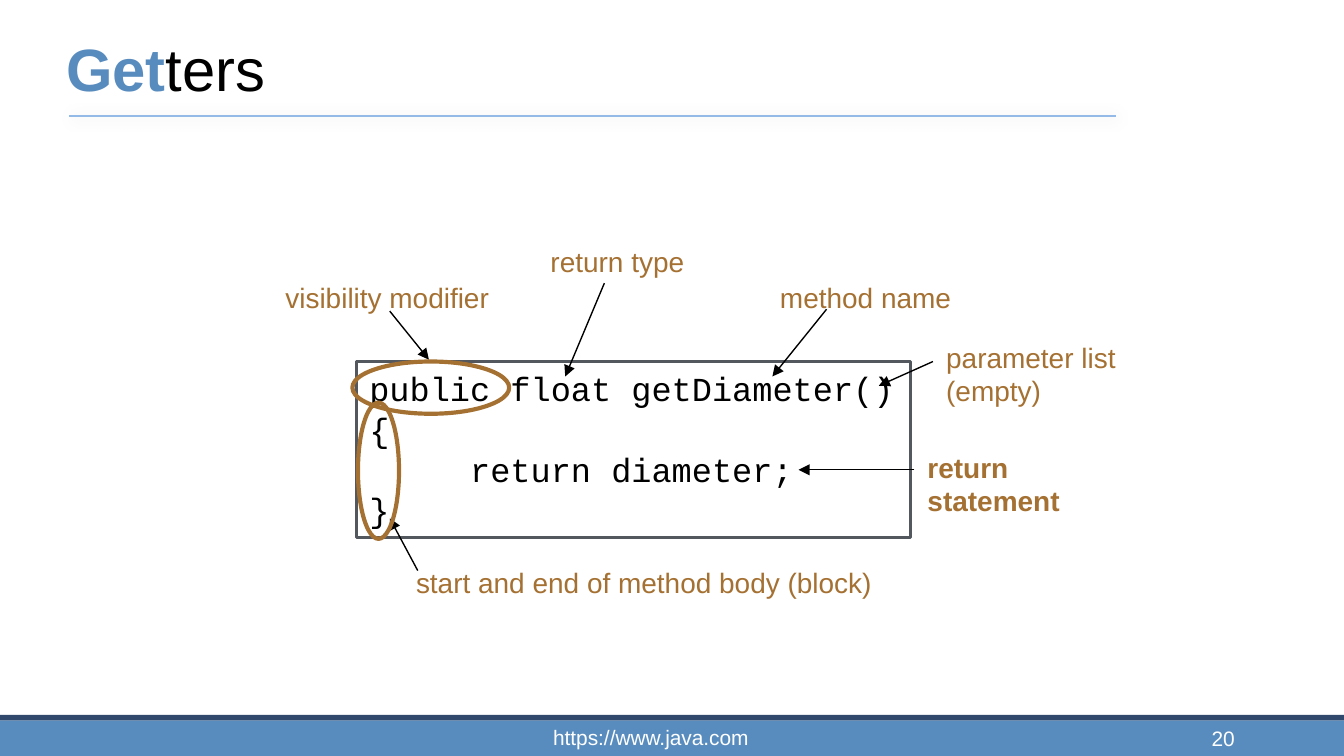
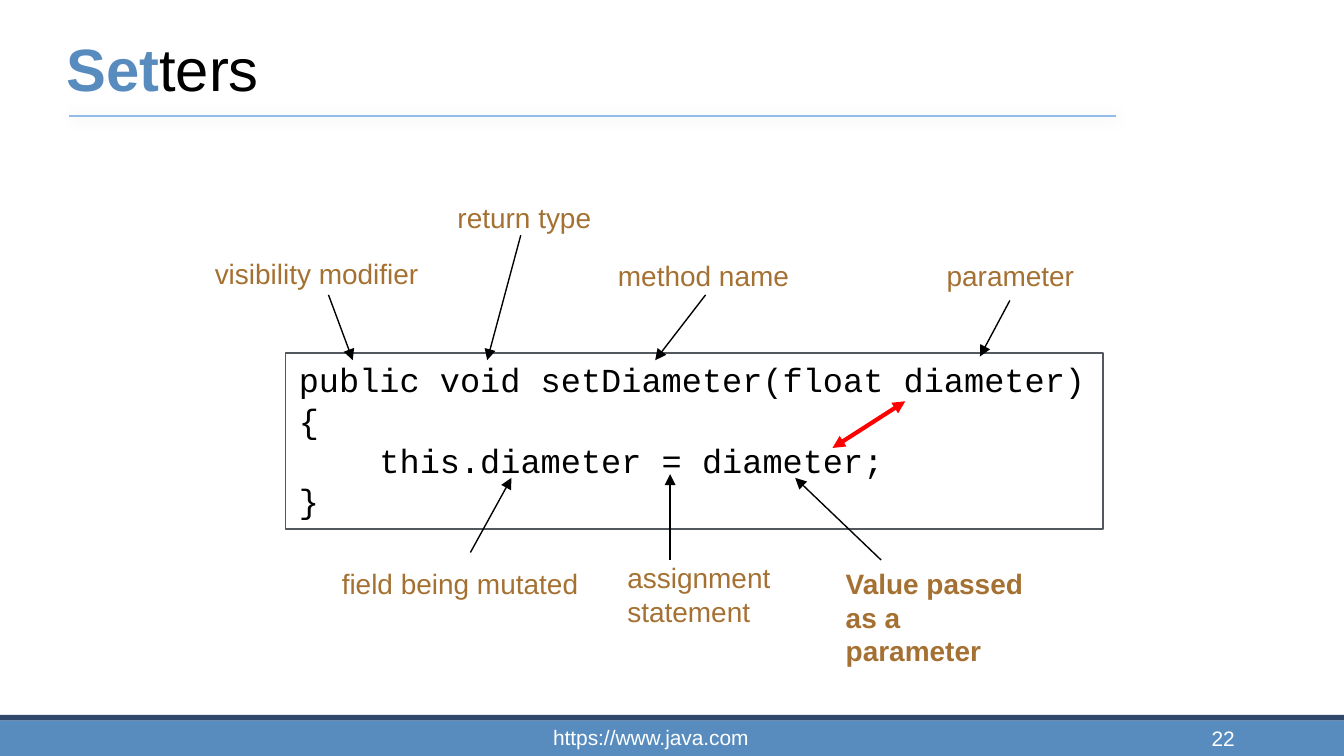
"""Build two slides that label the parts of a getter and a setter method."""
from collections import namedtuple

from lxml import etree
from pptx import Presentation
from pptx.dml.color import RGBColor
from pptx.enum.shapes import MSO_CONNECTOR, MSO_SHAPE
from pptx.enum.text import MSO_ANCHOR, PP_ALIGN
from pptx.oxml.ns import qn
from pptx.util import Pt

Box = namedtuple("Box", "left top width height")
Label = namedtuple("Label", "text left top width height bold", defaults=(25, False))
Arrow = namedtuple("Arrow", "start end")

RECTANGLE, OVAL = MSO_SHAPE.RECTANGLE, MSO_SHAPE.OVAL
STRAIGHT = MSO_CONNECTOR.STRAIGHT
TOP, BOTTOM = MSO_ANCHOR.TOP, MSO_ANCHOR.BOTTOM
LEFT, CENTER, RIGHT = PP_ALIGN.LEFT, PP_ALIGN.CENTER, PP_ALIGN.RIGHT

BLUE = RGBColor(0x59, 0x8C, 0xBE)
NAVY = RGBColor(0x2F, 0x48, 0x6B)
LIGHT_BLUE = RGBColor(0x94, 0xBB, 0xE7)
BROWN = RGBColor(0xA5, 0x71, 0x33)
GRAY = RGBColor(0x53, 0x58, 0x5F)
RED = RGBColor(0xFF, 0x00, 0x00)
BLACK = RGBColor(0x00, 0x00, 0x00)
WHITE = RGBColor(0xFF, 0xFF, 0xFF)

SANS, MONO = "Arial", "Courier New"
SLIDE = Box(0, 0, 720, 405)
TITLE = Box(31, 0, 612, 60)
FOOTER = Box(0, 383, 720, 22)
DEFAULT_INSETS = (7.2, 3.6)


def points(values):
    """Convert numbers to point lengths."""
    return [Pt(value) for value in values]


def style_run(run, font_name, size, color, bold=False):
    """Set the font of one run."""
    run.font.name = font_name
    run.font.size = Pt(size)
    run.font.color.rgb = color
    run.font.bold = bold


def fill_text(shape, text, font_name, size, color, bold=False, align=LEFT,
              anchor=TOP, insets=DEFAULT_INSETS):
    """Write and format the text of a shape, one paragraph a line."""
    frame = shape.text_frame
    frame.text = text
    frame.word_wrap = True
    frame.vertical_anchor = anchor
    frame.margin_left = frame.margin_right = Pt(insets[0])
    frame.margin_top = frame.margin_bottom = Pt(insets[1])
    for paragraph in frame.paragraphs:
        paragraph.alignment = align
        for run in paragraph.runs:
            style_run(run, font_name, size, color, bold)


def add_text(slide, box, *args, **options):
    """Add a text box with formatted text."""
    shape = slide.shapes.add_textbox(*points(box))
    fill_text(shape, *args, **options)
    return shape


def add_band(slide, box, color):
    """Add a filled bar without an outline."""
    shape = slide.shapes.add_shape(RECTANGLE, *points(box))
    shape.shadow.inherit = False
    shape.fill.solid()
    shape.fill.fore_color.rgb = color
    shape.line.fill.background()


def add_outline(slide, kind, box, color, weight):
    """Add an unfilled shape with an outline."""
    shape = slide.shapes.add_shape(kind, *points(box))
    shape.shadow.inherit = False
    shape.fill.background()
    shape.line.color.rgb = color
    shape.line.width = Pt(weight)
    return shape


def add_line(slide, start, end, color, weight, arrowheads=()):
    """Add a straight line with the named arrowheads and return its effect list."""
    line = slide.shapes.add_connector(STRAIGHT, *points((*start, *end)))
    line.line.color.rgb = color
    line.line.width = Pt(weight)
    outline = line.line._get_or_add_ln()
    for arrowhead in arrowheads:
        etree.SubElement(outline, qn(f"a:{arrowhead}"), type="triangle")
    return etree.SubElement(line._element.spPr, qn("a:effectLst"))


def add_title(slide, box, stem, ending):
    """Add the two-coloured title and its shadowed rule."""
    shape = add_text(slide, box, stem, SANS, 32, BLUE, bold=True,
                     anchor=BOTTOM, insets=(4.5, 4.5))
    run = shape.text_frame.paragraphs[0].add_run()
    run.text = ending
    style_run(run, SANS, 32, BLACK)
    rule_top = box.top + box.height + 2
    effects = add_line(slide, (box.left + 6, rule_top), (box.left + 567, rule_top),
                       LIGHT_BLUE, 1)
    shadow = etree.SubElement(effects, qn("a:outerShdw"), blurRad=str(Pt(8)),
                              dist=str(Pt(1)), dir=str(45 * 60000))
    color = etree.SubElement(shadow, qn("a:srgbClr"), val="003D62")
    etree.SubElement(color, qn("a:alpha"), val="20000")


def add_footer(slide, box, number):
    """Add the bottom bands, the web address and the slide number."""
    left, top, width, height = box
    add_band(slide, Box(left, top + 3, width, height - 3), BLUE)
    add_band(slide, Box(left, top, width, 3), NAVY)
    add_text(slide, Box(left + 253, top + 2.5, 191.5, 19), "https://www.java.com",
             SANS, 11.2, WHITE, align=CENTER, anchor=BOTTOM, insets=(5.6, 2.8))
    add_text(slide, Box(left + 516, top + 1.5, 150, 22), str(number),
             SANS, 11.2, WHITE, align=RIGHT, anchor=BOTTOM, insets=(4.5, 4.5))


def add_code_diagram(slide, box, code, border, labels, arrows, ovals=(), links=()):
    """Add framed code with labels, arrows, ovals and links placed relative to it."""
    def shift(point):
        return box.left + point[0], box.top + point[1]

    frame = add_outline(slide, RECTANGLE, box, GRAY, border)
    fill_text(frame, code, MONO, 18, BLACK)
    for label in labels:
        place = Box(*shift((label.left, label.top)), label.width, label.height)
        add_text(slide, place, label.text, SANS, 15, BROWN, label.bold)
    for arrow in arrows:
        add_line(slide, shift(arrow.start), shift(arrow.end), BLACK, 0.75, ["tailEnd"])
    for oval in ovals:
        place = Box(*shift(oval), oval.width, oval.height)
        add_outline(slide, OVAL, place, BROWN, 2.25)
    for link in links:
        add_line(slide, shift(link.start), shift(link.end), RED, 2.25,
                 ["headEnd", "tailEnd"])


def add_method_slide(presentation, stem, number, **diagram):
    """Add a slide with title, footer and one code diagram."""
    slide = presentation.slides.add_slide(presentation.slide_layouts[6])
    add_footer(slide, FOOTER, number)
    add_title(slide, TITLE, stem, "ters")
    add_code_diagram(slide, **diagram)


def main():
    """Build and save the presentation."""
    presentation = Presentation()
    presentation.slide_width = Pt(SLIDE.width)
    presentation.slide_height = Pt(SLIDE.height)
    add_method_slide(
        presentation, "Get", 20,
        box=Box(190.8, 193.7, 297, 94.5),
        code="public float getDiameter()\n{\n     return diameter;\n}",
        border=1.5,
        labels=[
            Label("return type", 97, -66, 93),
            Label("method name", 220, -47, 108),
            Label("parameter list (empty)", 309, -15, 122, 44),
            Label("start and end of method body (block)", 25, 106, 269),
            Label("return statement", 299, 44, 125, 44, True),
            Label("visibility modifier", -45, -47, 127),
        ],
        arrows=[
            Arrow((33, 112), (18, 84)),
            Arrow((133, -42), (112, 8)),
            Arrow((252, -28), (223, 8)),
            Arrow((309, 0), (280, 13)),
            Arrow((299, 58), (237, 58)),
            Arrow((18, -27), (39, -1)),
        ],
        ovals=[Box(1, 22, 22, 73), Box(-2, 0, 84, 28)],
    )
    add_method_slide(
        presentation, "Set", 22,
        box=Box(153, 189, 438, 94.5),
        code="public void setDiameter(float diameter)\n{\n"
             "    this.diameter = diameter;\n}",
        border=1,
        labels=[
            Label("return type", 85, -85, 88),
            Label("method name", 171, -54, 108),
            Label("parameter", 347, -54, 84),
            Label("visibility modifier", -45, -55, 127),
            Label("assignment\nstatement", 176, 108, 97, 44),
            Label("field being mutated", 23, 111, 146),
            Label("Value passed\nas a parameter", 293, 111, 117, 44, True),
        ],
        arrows=[
            Arrow((126, -63), (108, 4)),
            Arrow((225, -31), (198, 4)),
            Arrow((388, -28), (372, 2)),
            Arrow((23, -31), (36, 4)),
            Arrow((206, 111), (206, 65)),
            Arrow((99, 107), (121, 67)),
            Arrow((319, 111), (273, 67)),
        ],
        links=[Arrow((332, 26), (293, 51))],
    )
    presentation.save("out.pptx")


if __name__ == "__main__":
    main()
